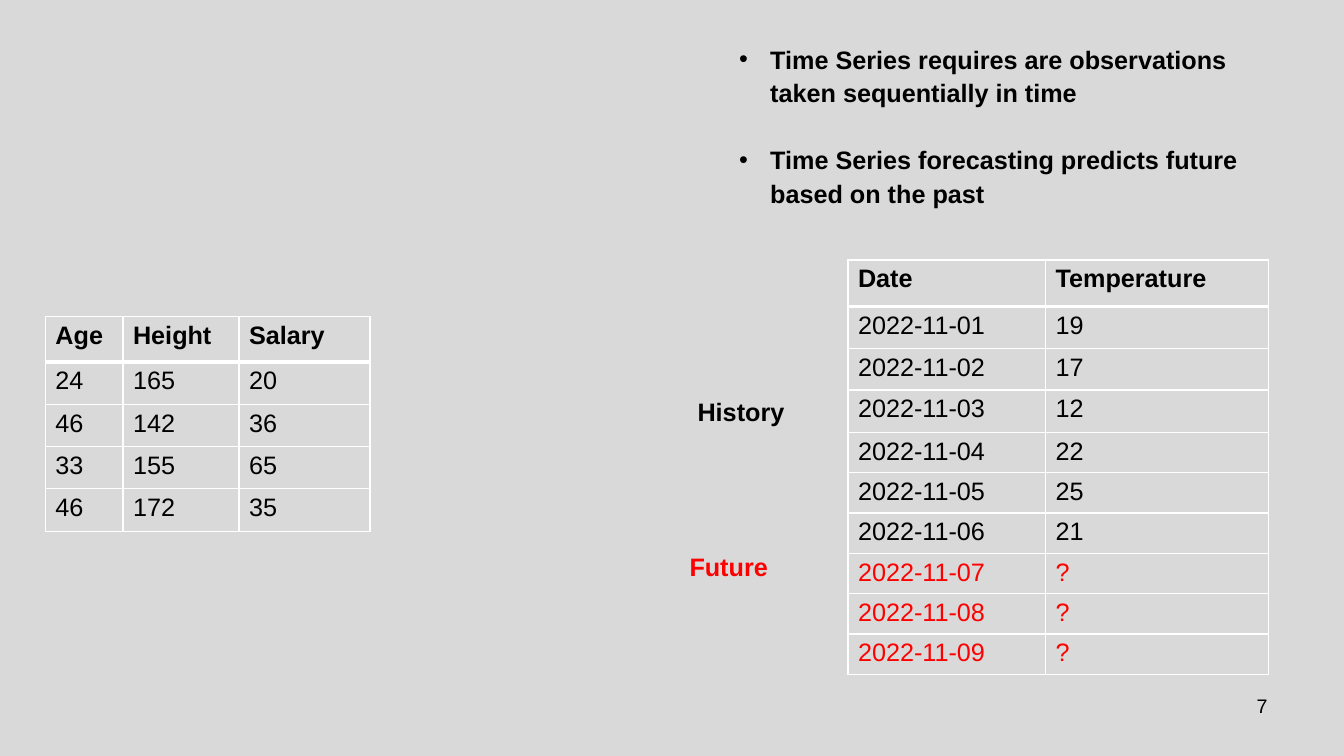
from lxml.etree import SubElement as Sub
from pptx import Presentation
from pptx.dml.color import RGBColor
from pptx.enum.text import MSO_ANCHOR as Anchor, MSO_AUTO_SIZE as Auto, PP_ALIGN as Align
from pptx.oxml import parse_xml
from pptx.oxml.ns import nsdecls, qn
from pptx.util import Inches, Pt

BLACK = RGBColor(0, 0, 0)
RED = RGBColor(255, 0, 0)
WHITE = RGBColor(255, 255, 255)
GREY = RGBColor(217, 217, 217)

POINTS = [
    "Time Series requires are observations taken sequentially in time",
    "Time Series forecasting predicts future based on the past",
]
PEOPLE = [
    ("Age", "Height", "Salary"),
    ("24", "165", "20"),
    ("46", "142", "36"),
    ("33", "155", "65"),
    ("46", "172", "35"),
]
TEMPS = ["19", "17", "12", "22", "25", "21", "?", "?", "?"]
SERIES = [("Date", "Temperature")] + [
    (f"2022-11-{day:02}", temp) for day, temp in enumerate(TEMPS, 1)
]


def add_run(para, text, color=BLACK, bold=False, size=18):
    run = para.add_run()
    run.text = text
    font = run.font
    font.name = "Arial"
    font.size = Pt(size)
    font.bold = bold
    font.color.rgb = color


def add_box(slide, box):
    frame = slide.shapes.add_textbox(*map(Inches, box)).text_frame
    frame.word_wrap = True
    frame.auto_size = Auto.NONE
    return frame


def add_points(slide, box):
    frame = add_box(slide, box)
    frame.vertical_anchor = Anchor.BOTTOM
    frame.margin_left = frame.margin_right = 0
    frame.margin_top = frame.margin_bottom = 0
    for i, text in enumerate(POINTS):
        para = frame.add_paragraph() if i else frame.paragraphs[0]
        para.line_spacing = Pt(24)
        para.space_before = Pt(24 if i else 0)
        props = para._p.get_or_add_pPr()
        props.set("marL", str(Inches(0.31)))
        props.set("indent", str(-Inches(0.31)))
        Sub(props, qn("a:buFont"), typeface="Arial")
        Sub(props, qn("a:buChar"), char="•")
        add_run(para, text, bold=True)


def add_label(slide, box, text, color=BLACK):
    frame = add_box(slide, box)
    frame.auto_size = Auto.SHAPE_TO_FIT_TEXT
    add_run(frame.paragraphs[0], text, color, bold=True)


def add_number(slide, box, text):
    para = add_box(slide, box).paragraphs[0]
    para.alignment = Align.RIGHT
    add_run(para, text, size=14)


def set_edges(cell, top, bottom):
    props = cell._tc.get_or_add_tcPr()
    for i, (side, width) in enumerate(zip("LRTB", (1, 1, top, bottom))):
        props.insert(i, parse_xml(
            f'<a:ln{side} {nsdecls("a")} w="{Pt(width)}"><a:solidFill>'
            f'<a:srgbClr val="{WHITE}"/></a:solidFill></a:ln{side}>'))


def add_grid(slide, left, top, cols, rows, data):
    size = left, top, sum(cols), sum(rows)
    table = slide.shapes.add_table(
        len(rows), len(cols), *map(Inches, size)).table
    table.horz_banding = False
    for col, width in zip(table.columns, cols):
        col.width = Inches(width)
    for r, (row, height, line) in enumerate(zip(table.rows, rows, data)):
        row.height = Inches(height)
        color = RED if "?" in line else BLACK
        for cell, text in zip(row.cells, line):
            cell.fill.background()
            set_edges(cell, 3 if r == 1 else 1, 3 if r == 0 else 1)
            add_run(cell.text_frame.paragraphs[0], text, color, bold=r == 0)


def main():
    deck = Presentation()
    deck.slide_width = Inches(13.33)
    deck.slide_height = Inches(7.5)
    slide = deck.slides.add_slide(deck.slide_layouts[6])
    fill = slide.background.fill
    fill.solid()
    fill.fore_color.rgb = GREY
    add_points(slide, (7.33, 1.57, 5.34, 0.5))
    add_number(slide, (9.56, 6.83, 3.11, 0.52), "7")
    add_grid(slide, 0.45, 3.14, [0.77, 1.15, 1.3], [0.45] + [0.42] * 4, PEOPLE)
    add_grid(slide, 8.41, 2.58, [1.96, 2.21],
             [0.46, 0.42, 0.41, 0.42] + [0.4] * 6, SERIES)
    add_label(slide, (6.82, 3.88, 1.39, 0.4), "History")
    add_label(slide, (6.74, 5.42, 1.39, 0.4), "Future", RED)
    deck.save("out.pptx")


if __name__ == "__main__":
    main()
